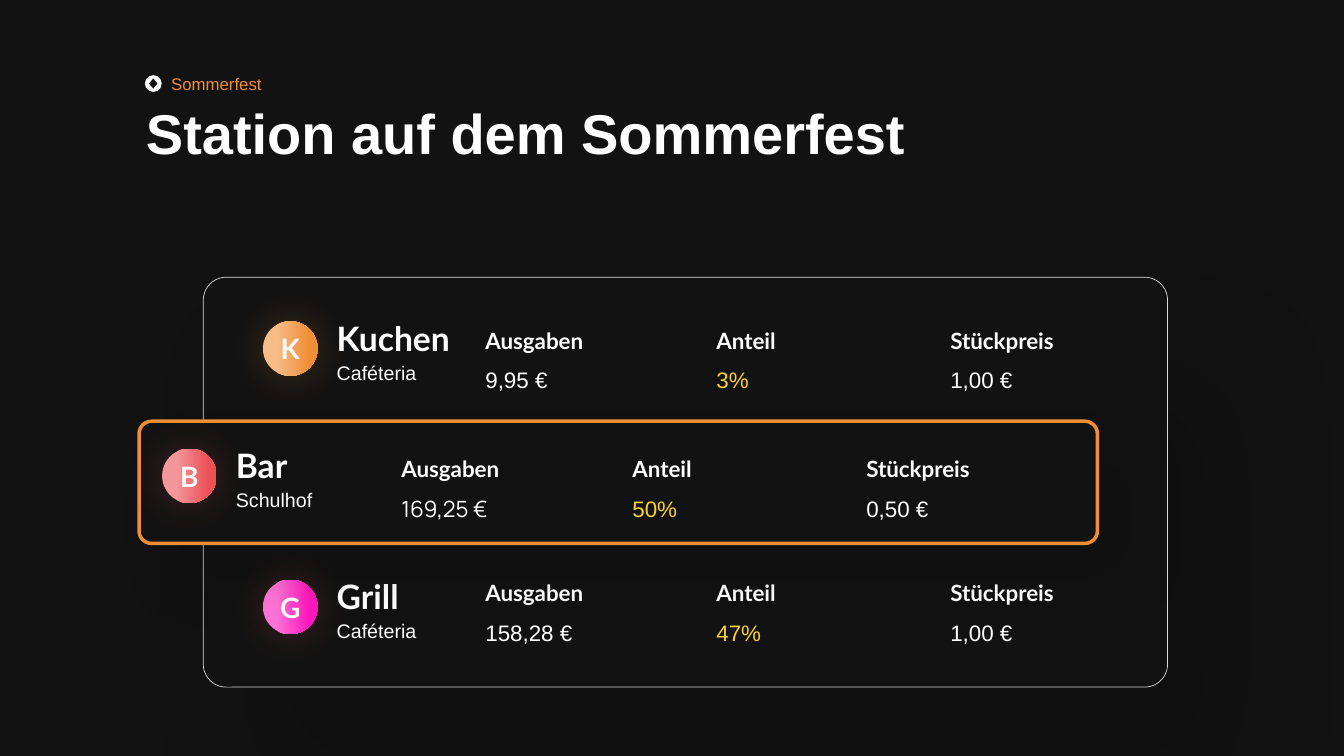
from lxml.etree import SubElement
from pptx import Presentation
from pptx.dml.color import RGBColor
from pptx.enum.shapes import MSO_SHAPE
from pptx.enum.text import MSO_ANCHOR, PP_ALIGN
from pptx.oxml.ns import qn
from pptx.util import Inches, Pt

COLORS = {
    "background": "121212", "white": "FFFFFF", "black": "000000",
    "border": "D9D9D9", "accent": "F08E35", "share": "F8D230",
    "orange_light": "F6BB86", "red_light": "F4979A", "red": "EC5157",
    "pink_light": "FF74D7", "pink": "FF18BD",
}


class FestivalSlide:
    COLUMNS = 160
    ROWS = 90
    HEADING = "Lato"
    BODY = "Arial"

    def __init__(self, presentation):
        self.column = presentation.slide_width / self.COLUMNS
        self.row = presentation.slide_height / self.ROWS
        self.slide = presentation.slides.add_slide(presentation.slide_layouts[6])
        self.paint(self.slide.background.fill, "background")

    def color(self, name):
        return RGBColor.from_string(COLORS[name])

    def paint(self, fill, name):
        fill.solid()
        fill.fore_color.rgb = self.color(name)

    def place(self, left, top, width, height):
        return (round(left * self.column), round(top * self.row),
                round(width * self.column), round(height * self.row))

    def add_words(self, frame, text, size, font=BODY, color="white", bold=False,
                  spacing=1.0, align=PP_ALIGN.LEFT):
        frame.word_wrap = True
        paragraph = frame.paragraphs[0]
        paragraph.alignment = align
        paragraph.line_spacing = spacing
        run = paragraph.add_run()
        run.text = text
        run.font.name = font
        run.font.size = Pt(size)
        run.font.bold = bold
        run.font.color.rgb = self.color(color)

    def text(self, box, text, size, **style):
        shape = self.slide.shapes.add_textbox(*self.place(*box))
        self.add_words(shape.text_frame, text, size, **style)

    def shape(self, kind, box, fill, line=None, line_width=0, radius=None):
        shape = self.slide.shapes.add_shape(kind, *self.place(*box))
        shape.shadow.inherit = False
        self.paint(shape.fill, fill)
        if line:
            shape.line.color.rgb = self.color(line)
            shape.line.width = Pt(line_width)
        else:
            shape.line.fill.background()
        if radius is not None:
            shape.adjustments[0] = radius
        return shape

    def glow(self, shape, color, opacity, blur, distance=0, angle=45):
        effects = shape._element.spPr.find(qn("a:effectLst"))
        shadow = SubElement(effects, qn("a:outerShdw"), blurRad=str(Pt(blur)),
                            dist=str(Pt(distance)), dir=str(angle * 60000),
                            algn="ctr", rotWithShape="0")
        tint = SubElement(shadow, qn("a:srgbClr"), val=COLORS[color])
        SubElement(tint, qn("a:alpha"), val=str(opacity * 1000))

    def avatar(self, left, top, letter, gradient, glow):
        shape = self.shape(MSO_SHAPE.ROUNDED_RECTANGLE, (left, top, 6.5, 6.5),
                           gradient[0], radius=0.5)
        shape.fill.gradient()
        shape.fill.gradient_angle = 0
        for stop, name, position in zip(shape.fill.gradient_stops, gradient, (0.25, 0.85)):
            stop.color.rgb = self.color(name)
            stop.position = position
        self.glow(shape, glow, 24, 28)
        frame = shape.text_frame
        frame.margin_left = frame.margin_right = 0
        frame.margin_top = frame.margin_bottom = 0
        frame.vertical_anchor = MSO_ANCHOR.MIDDLE
        self.add_words(frame, letter, 20, font=self.HEADING, bold=True,
                       align=PP_ALIGN.CENTER)

    def metric(self, left, top, label, value, color, font):
        self.text((left, top, 23, 5.6), label, 16, font=self.HEADING, bold=True, spacing=1.5)
        self.text((left, top + 4.75, 23, 5.6), value, 16, font=font, color=color, spacing=1.5)

    def station(self, name, place, avatar, metrics, gradient, glow, values, cost_font=BODY):
        left, top = avatar
        self.avatar(left, top, name[0], gradient, glow)
        self.text((left + 7.6, top - 1, 17.8, 6), name, 24, font=self.HEADING, bold=True)
        self.text((left + 7.6, top + 4.1, 17.8, 4.1), place, 14)
        labels = ("Ausgaben", "Anteil", "Stückpreis")
        offsets = (0, 27.5, 55.35)
        colors = ("white", "share", "white")
        fonts = (cost_font, self.BODY, self.BODY)
        for offset, *content in zip(offsets, labels, values, colors, fonts):
            self.metric(metrics[0] + offset, metrics[1], *content)

    def header(self):
        self.shape(MSO_SHAPE.OVAL, (17.25, 8.95, 2, 2), "white")
        self.shape(MSO_SHAPE.DIAMOND, (17.75, 9.35, 1, 1.2), "background")
        self.text((19.2, 8.2, 30, 3.6), "Sommerfest", 12, color="accent")
        self.text((16.2, 12, 107.4, 8.5), "Station auf dem Sommerfest", 40,
                  bold=True, spacing=0.9)

    def panel(self, box, line, line_width, radius, shadow):
        shape = self.shape(MSO_SHAPE.ROUNDED_RECTANGLE, box, "background",
                           line, line_width, radius)
        self.glow(shape, "black", *shadow)


def main():
    presentation = Presentation()
    presentation.slide_width = Inches(13.33)
    presentation.slide_height = Inches(7.5)
    festival = FestivalSlide(presentation)
    festival.header()
    festival.panel((24.2, 33, 114.8, 48.8), "border", 0.5, 0.056, (17, 85, 81, 58))
    festival.station("Kuchen", "Caféteria", (31.3, 38.25), (56.6, 36.7),
                     ("orange_light", "accent"), "accent", ("9,95 €", "3%", "1,00 €"))
    festival.station("Grill", "Caféteria", (31.3, 69), (56.6, 66.8),
                     ("pink_light", "pink"), "red", ("158,28 €", "47%", "1,00 €"))
    festival.panel((16.55, 50.15, 114.1, 14.55), "accent", 2.5, 0.103, (10, 40, 35, 45))
    festival.station("Bar", "Schulhof", (19.3, 53.4), (46.6, 52),
                     ("red_light", "red"), "red", ("169,25 €", "50%", "0,50 €"),
                     cost_font="Manrope")
    presentation.save("out.pptx")


if __name__ == "__main__":
    main()
